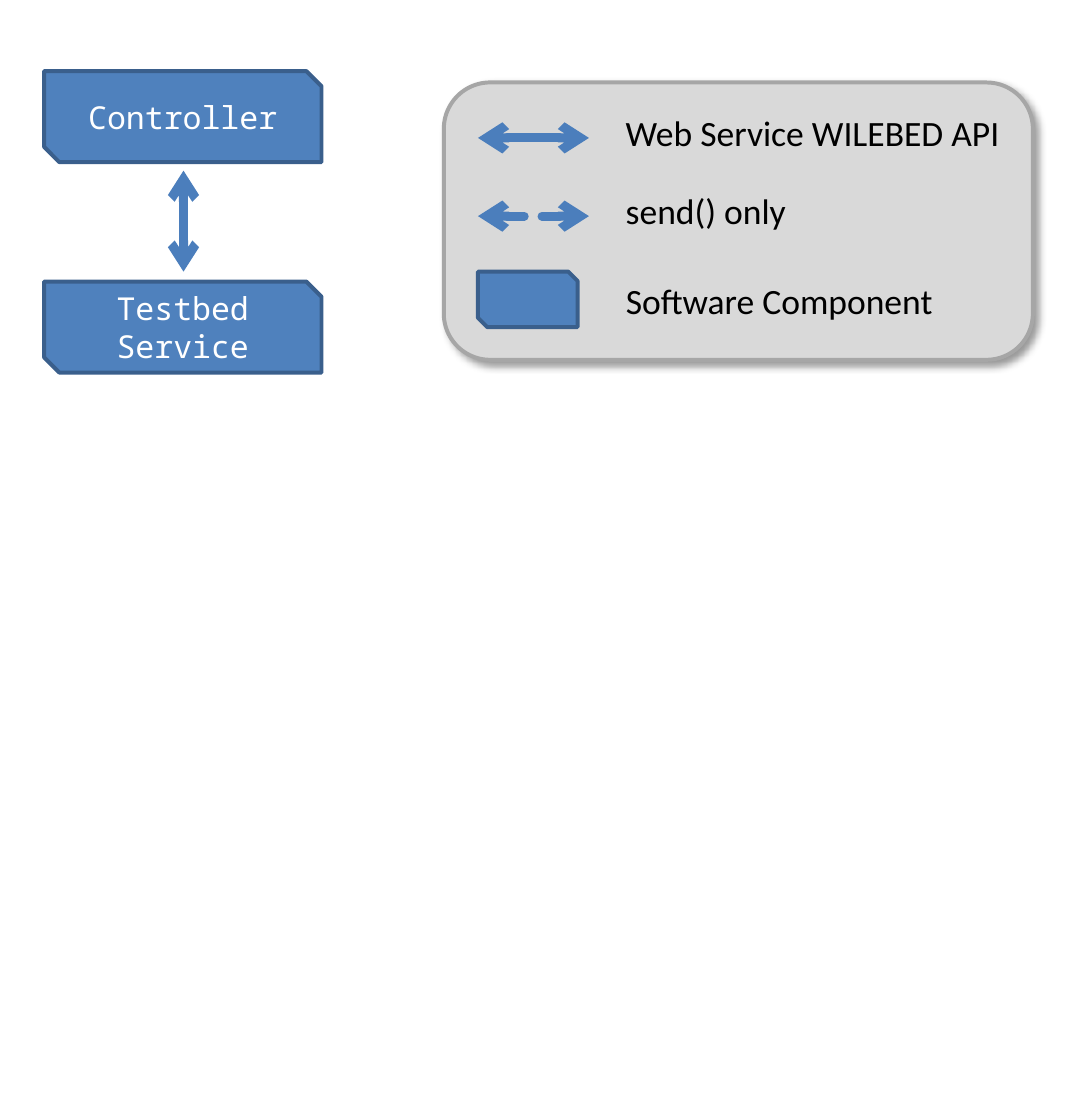
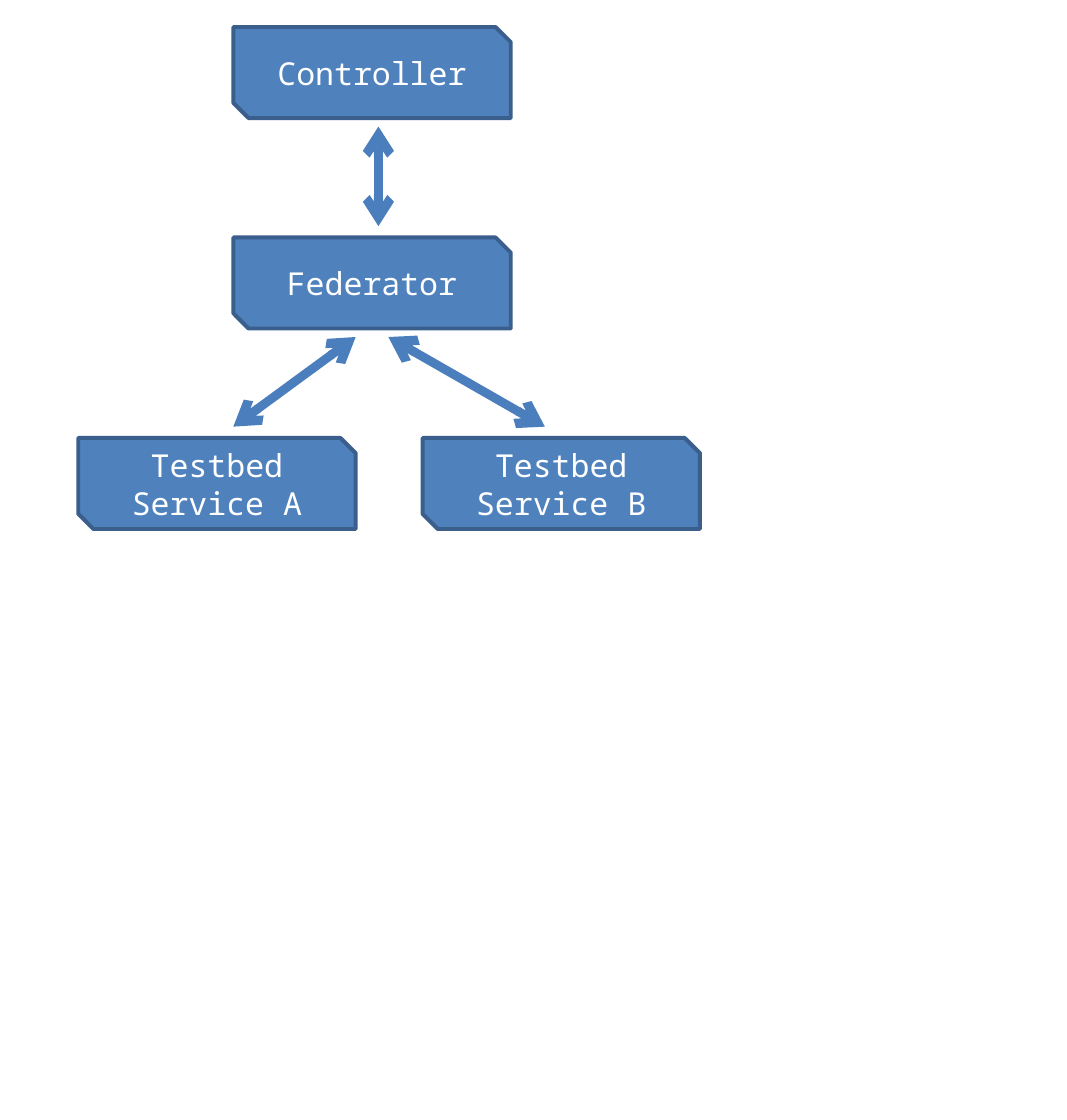
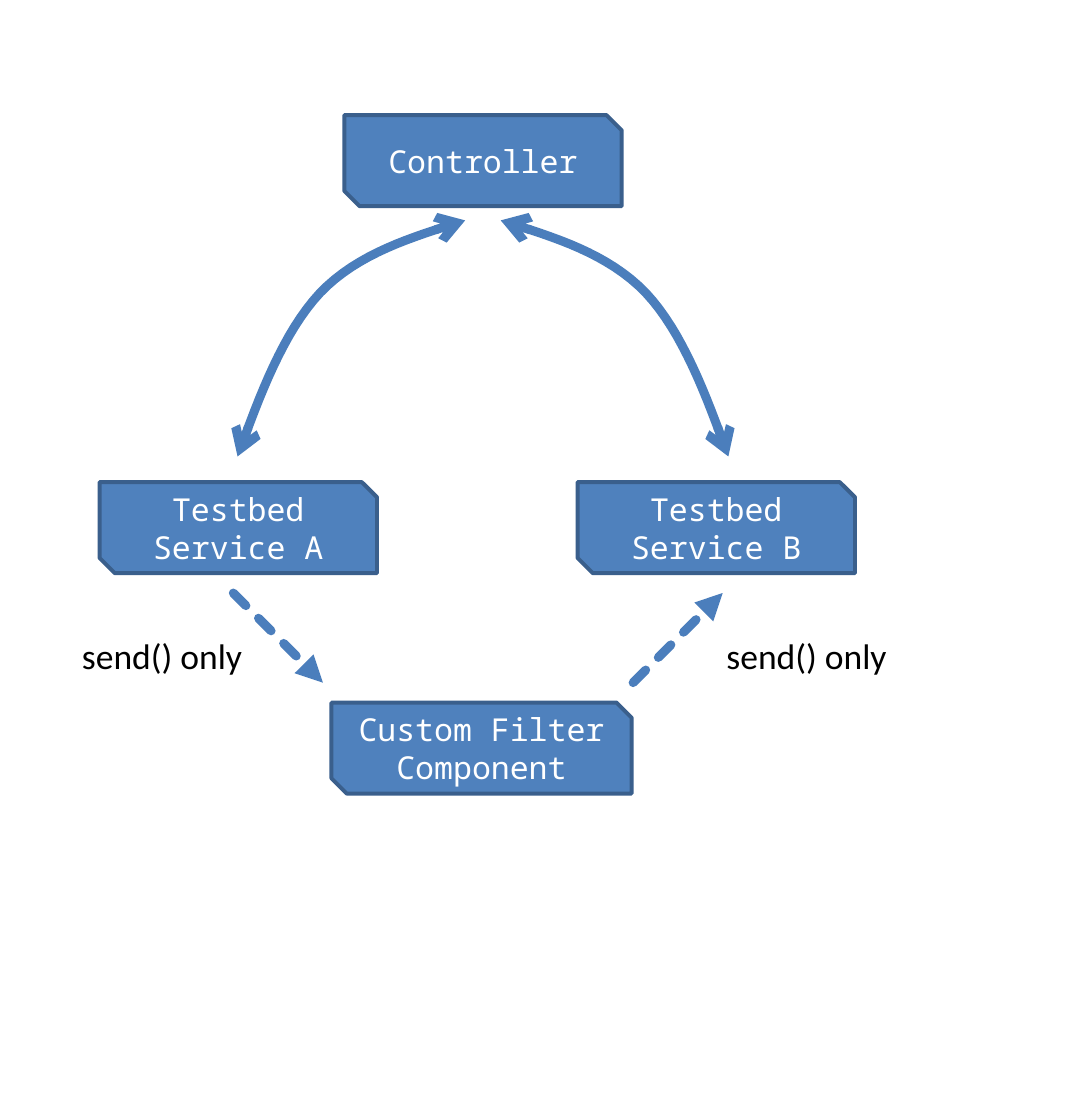
"""Build three diagrams of controllers, testbed services and their links."""
from lxml.etree import SubElement
from pptx import Presentation
from pptx.dml.color import RGBColor
from pptx.enum.dml import MSO_LINE
from pptx.enum.shapes import MSO_CONNECTOR, MSO_SHAPE
from pptx.enum.text import MSO_ANCHOR, MSO_AUTO_SIZE, PP_ALIGN
from pptx.oxml.ns import qn
from pptx.util import Inches, Pt

COLORS = {
    "component": "4F81BD", "component_line": "3A5F8C", "link": "4B7EBC",
    "legend": "D9D9D9", "legend_line": "A6A6A6",
    "light": "FFFFFF", "dark": "000000",
}
COMPONENT_FONT = {"name": "Noto Sans Mono", "size": Pt(16)}
LABEL_FONT = {"name": "Calibri", "size": Pt(18)}
COMPONENT_WIDTH, COMPONENT_HEIGHT = 1.95, 0.64
LABEL_HEIGHT = 0.4
CURVE_STEPS = 16

BOTH_WAYS = {"head": "arrow", "tail": "arrow"}
SEND_BOTH_WAYS = {**BOTH_WAYS, "dashed": True}
SEND = {"tail": "triangle", "dashed": True}

LEGEND = {
    "frame": (3.12, 0.58, 4.14, 1.95),
    "key": (3.36, 1.91, 0.7, 0.39),
    "link_ends": (4.14, 3.36),
    "links": [(0.97, BOTH_WAYS), (1.52, SEND_BOTH_WAYS)],
    "labels": [
        ("Web Service WILEBED API", 4.3, 0.73, 2.87),
        ("send() only", 4.3, 1.28, 1.34),
        ("Software Component", 4.3, 1.91, 2.39),
    ],
}

LEFT_CURVE = [
    (3.27, 1.55), (2.89, 1.67), (2.52, 1.78), (2.25, 2.06),
    (1.99, 2.34), (1.83, 2.77), (1.67, 3.21),
]
MIRROR_SUM = 6.79
RIGHT_CURVE = [(MIRROR_SUM - x, y) for x, y in LEFT_CURVE]

DIAGRAMS = [
    {
        "legend": LEGEND,
        "components": [("Controller", 0.31, 0.5), ("Testbed Service", 0.31, 1.98)],
        "links": [((1.29, 1.2), (1.29, 1.91), BOTH_WAYS)],
    },
    {
        "components": [
            ("Controller", 1.64, 0.19),
            ("Federator", 1.64, 1.67),
            ("Testbed Service A", 0.55, 3.08),
            ("Testbed Service B", 2.97, 3.08),
        ],
        "links": [
            ((2.66, 0.89), (2.66, 1.59), BOTH_WAYS),
            ((2.5, 2.37), (1.64, 3), BOTH_WAYS),
            ((2.73, 2.37), (3.83, 3), BOTH_WAYS),
        ],
    },
    {
        "components": [
            ("Controller", 2.42, 0.81),
            ("Testbed Service A", 0.7, 3.39),
            ("Testbed Service B", 4.06, 3.39),
            ("Custom Filter\nComponent", 2.33, 4.94, 2.11),
        ],
        "curves": [LEFT_CURVE, RIGHT_CURVE],
        "links": [
            ((1.64, 4.17), (2.27, 4.8), SEND),
            ((4.45, 4.8), (5.08, 4.17), SEND),
        ],
        "labels": [("send() only", 0.47, 4.41, 1.34), ("send() only", 5, 4.41, 1.34)],
    },
]


def color(name):
    return RGBColor.from_string(COLORS[name])


def format_text(frame, text, font, color_name, alignment):
    frame.text = text
    for paragraph in frame.paragraphs:
        paragraph.alignment = alignment
        for run in paragraph.runs:
            for attribute, value in font.items():
                setattr(run.font, attribute, value)
            run.font.color.rgb = color(color_name)


def add_box(slide, kind, box, style):
    shape = slide.shapes.add_shape(kind, *map(Inches, box))
    shape.shadow.inherit = False
    shape.fill.solid()
    shape.fill.fore_color.rgb = color(style)
    shape.line.color.rgb = color(f"{style}_line")
    shape.line.width = Pt(2)
    return shape


def add_component(slide, text, left, top, width=COMPONENT_WIDTH, height=COMPONENT_HEIGHT):
    shape = add_box(slide, MSO_SHAPE.SNIP_2_DIAG_RECTANGLE, (left, top, width, height), "component")
    if text:
        shape.text_frame.vertical_anchor = MSO_ANCHOR.MIDDLE
        format_text(shape.text_frame, text, COMPONENT_FONT, "light", PP_ALIGN.CENTER)


def add_label(slide, text, left, top, width, alignment=PP_ALIGN.CENTER):
    shape = slide.shapes.add_textbox(*map(Inches, (left, top, width, LABEL_HEIGHT)))
    shape.text_frame.word_wrap = False
    shape.text_frame.auto_size = MSO_AUTO_SIZE.SHAPE_TO_FIT_TEXT
    format_text(shape.text_frame, text, LABEL_FONT, "dark", alignment)


def format_link(shape, head=None, tail=None, dashed=False):
    shape.line.color.rgb = color("link")
    shape.line.width = Pt(4.5)
    if dashed:
        shape.line.dash_style = MSO_LINE.SQUARE_DOT
    properties = shape._element.spPr
    line = properties.find(qn("a:ln"))
    line.set("cap", "rnd")
    SubElement(line, qn("a:round"))
    for tag, arrow in (("a:headEnd", head), ("a:tailEnd", tail)):
        if arrow:
            SubElement(line, qn(tag), type=arrow)
    if properties.find(qn("a:effectLst")) is None:
        SubElement(properties, qn("a:effectLst"))


def add_link(slide, start, end, link_format):
    connector = slide.shapes.add_connector(MSO_CONNECTOR.STRAIGHT, *map(Inches, (*start, *end)))
    format_link(connector, **link_format)


def bezier_point(controls, t):
    weights = ((1 - t) ** 3, 3 * t * (1 - t) ** 2, 3 * t * t * (1 - t), t ** 3)
    return tuple(
        Inches(sum(weight * point[axis] for weight, point in zip(weights, controls)))
        for axis in (0, 1)
    )


def add_curve(slide, controls):
    points = [
        bezier_point(controls[first:first + 4], step / CURVE_STEPS)
        for first in range(0, len(controls) - 1, 3)
        for step in range(1, CURVE_STEPS + 1)
    ]
    builder = slide.shapes.build_freeform(*map(Inches, controls[0]))
    builder.add_line_segments(points, close=False)
    shape = builder.convert_to_shape()
    shape.fill.background()
    shape.shadow.inherit = False
    format_link(shape, **BOTH_WAYS)


def add_shadow(shape):
    effects = shape._element.spPr.find(qn("a:effectLst"))
    shadow = SubElement(
        effects, qn("a:outerShdw"), blurRad=str(Pt(4)), dist=str(Pt(3)),
        dir=str(45 * 60000), algn="tl", rotWithShape="0",
    )
    shade = SubElement(shadow, qn("a:srgbClr"), val=COLORS["dark"])
    SubElement(shade, qn("a:alpha"), val="40000")


def add_legend(slide, legend):
    add_shadow(add_box(slide, MSO_SHAPE.ROUNDED_RECTANGLE, legend["frame"], "legend"))
    add_component(slide, "", *legend["key"])
    start, end = legend["link_ends"]
    for y, link_format in legend["links"]:
        add_link(slide, (start, y), (end, y), link_format)
    for label in legend["labels"]:
        add_label(slide, *label, alignment=PP_ALIGN.LEFT)


def main():
    presentation = Presentation()
    presentation.slide_width = Inches(7.5)
    presentation.slide_height = Pt(567)
    for diagram in DIAGRAMS:
        slide = presentation.slides.add_slide(presentation.slide_layouts[6])
        if "legend" in diagram:
            add_legend(slide, diagram["legend"])
        for component in diagram["components"]:
            add_component(slide, *component)
        for curve in diagram.get("curves", []):
            add_curve(slide, curve)
        for link in diagram["links"]:
            add_link(slide, *link)
        for label in diagram.get("labels", []):
            add_label(slide, *label)
    presentation.save("out.pptx")


if __name__ == "__main__":
    main()
